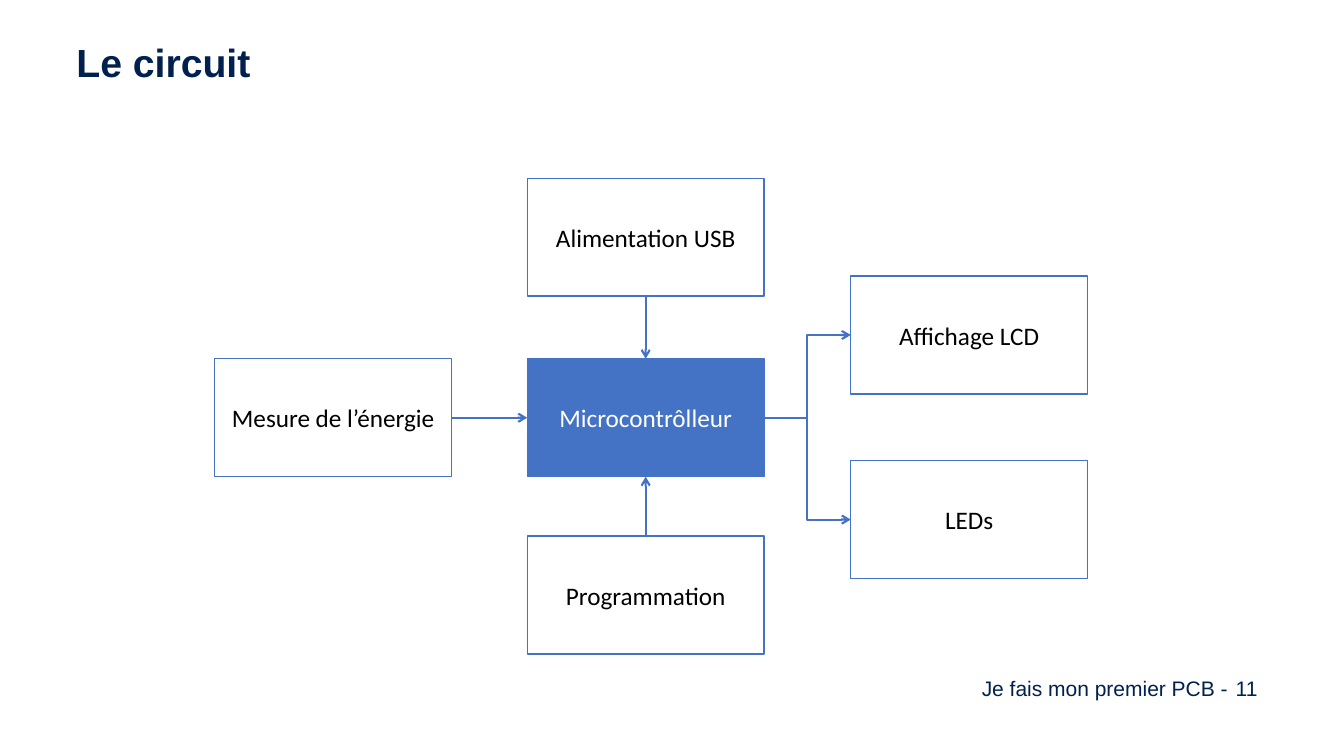
from lxml import etree
from pptx import Presentation
from pptx.dml.color import RGBColor
from pptx.enum import shapes, text
from pptx.oxml import ns
from pptx.util import Pt

COLORS = {"navy": "00214E", "blue": "4472C4", "white": "FFFFFF", "black": "000000"}
TOP, LEFT, BOTTOM, RIGHT = range(4)
BLOCK_W, BLOCK_H = 169.2, 84.2


def color(name):
    return RGBColor.from_string(COLORS[name])


def set_font(paragraph, name, size, tint, bold=False):
    font = paragraph.font
    font.name, font.size, font.bold = name, Pt(size), bold
    font.color.rgb = color(tint)


def add_label(slide, box, wording, size, bold=False, align=text.PP_ALIGN.LEFT):
    frame = slide.shapes.add_textbox(*map(Pt, box)).text_frame
    frame.word_wrap = True
    paragraph = frame.paragraphs[0]
    paragraph.text = wording
    paragraph.alignment = align
    paragraph.line_spacing = 0.9
    set_font(paragraph, "Arial", size, "navy", bold)


def add_block(slide, left, top, wording, filled=False):
    block = slide.shapes.add_shape(
        shapes.MSO_SHAPE.RECTANGLE, Pt(left), Pt(top), Pt(BLOCK_W), Pt(BLOCK_H))
    block.shadow.inherit = False
    block.line.color.rgb = color("blue")
    block.line.width = Pt(1)
    if filled:
        block.fill.solid()
        block.fill.fore_color.rgb = color("blue")
    else:
        block.fill.background()
    frame = block.text_frame
    frame.word_wrap = True
    frame.vertical_anchor = text.MSO_ANCHOR.MIDDLE
    paragraph = frame.paragraphs[0]
    paragraph.text = wording
    paragraph.alignment = text.PP_ALIGN.CENTER
    set_font(paragraph, "Calibri", 18, "white" if filled else "black")
    return block


def add_arrow(slide, source, source_side, target, target_side, kind):
    arrow = slide.shapes.add_connector(kind, 0, 0, 0, 0)
    arrow.begin_connect(source, source_side)
    arrow.end_connect(target, target_side)
    arrow.line.color.rgb = color("blue")
    arrow.line.width = Pt(1.5)
    etree.SubElement(arrow.line._get_or_add_ln(), ns.qn("a:tailEnd"), type="arrow")
    etree.SubElement(arrow._element.spPr, ns.qn("a:effectLst"))


def add_circuit(slide, left, top):
    # Blocks, in columns of inputs, core and outputs
    core_x, output_x = left + 223.2, left + 454.3
    core_y = top + 128.9
    core = add_block(slide, core_x, core_y, "Microcontrôlleur", filled=True)
    display = add_block(slide, output_x, top + 69.8, "Affichage LCD")
    leds = add_block(slide, output_x, top + 201.6, "LEDs")
    energy = add_block(slide, left, core_y, "Mesure de l’énergie")
    supply = add_block(slide, core_x, top, "Alimentation USB")
    programming = add_block(slide, core_x, top + 255.6, "Programmation")

    # Inputs to the core
    straight, elbow = shapes.MSO_CONNECTOR.STRAIGHT, shapes.MSO_CONNECTOR.ELBOW
    add_arrow(slide, energy, RIGHT, core, LEFT, straight)
    add_arrow(slide, supply, BOTTOM, core, TOP, straight)
    add_arrow(slide, programming, TOP, core, BOTTOM, straight)

    # Core to the outputs
    for output in (leds, display):
        add_arrow(slide, core, RIGHT, output, LEFT, elbow)


def add_footer(slide, left, top, height):
    add_label(slide, (left, top, 334.8, height), "Je fais mon premier PCB -", 15,
              align=text.PP_ALIGN.RIGHT)
    add_label(slide, (left + 326.2, top, 42.5, height), "11", 15)


def main():
    deck = Presentation()
    deck.slide_width, deck.slide_height = Pt(960), Pt(540)
    slide = deck.slides.add_slide(deck.slide_layouts[6])
    add_label(slide, (47.5, 27.4, 602.6, 33.8), "Le circuit", 28, bold=True)
    add_footer(slide, 549.4, 481, 33.8)
    add_circuit(slide, 153.4, 127.4)
    deck.save("out.pptx")


if __name__ == "__main__":
    main()
